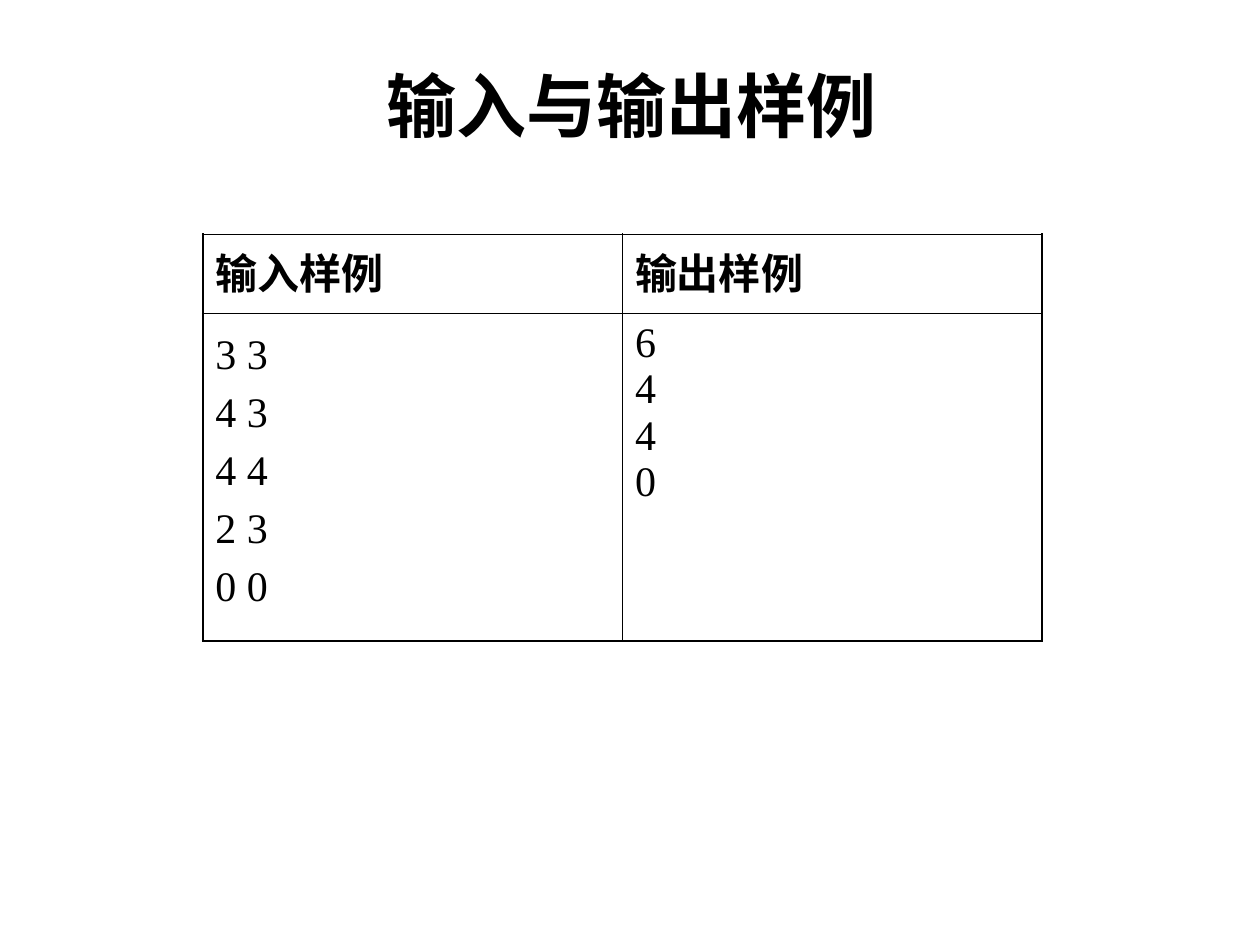
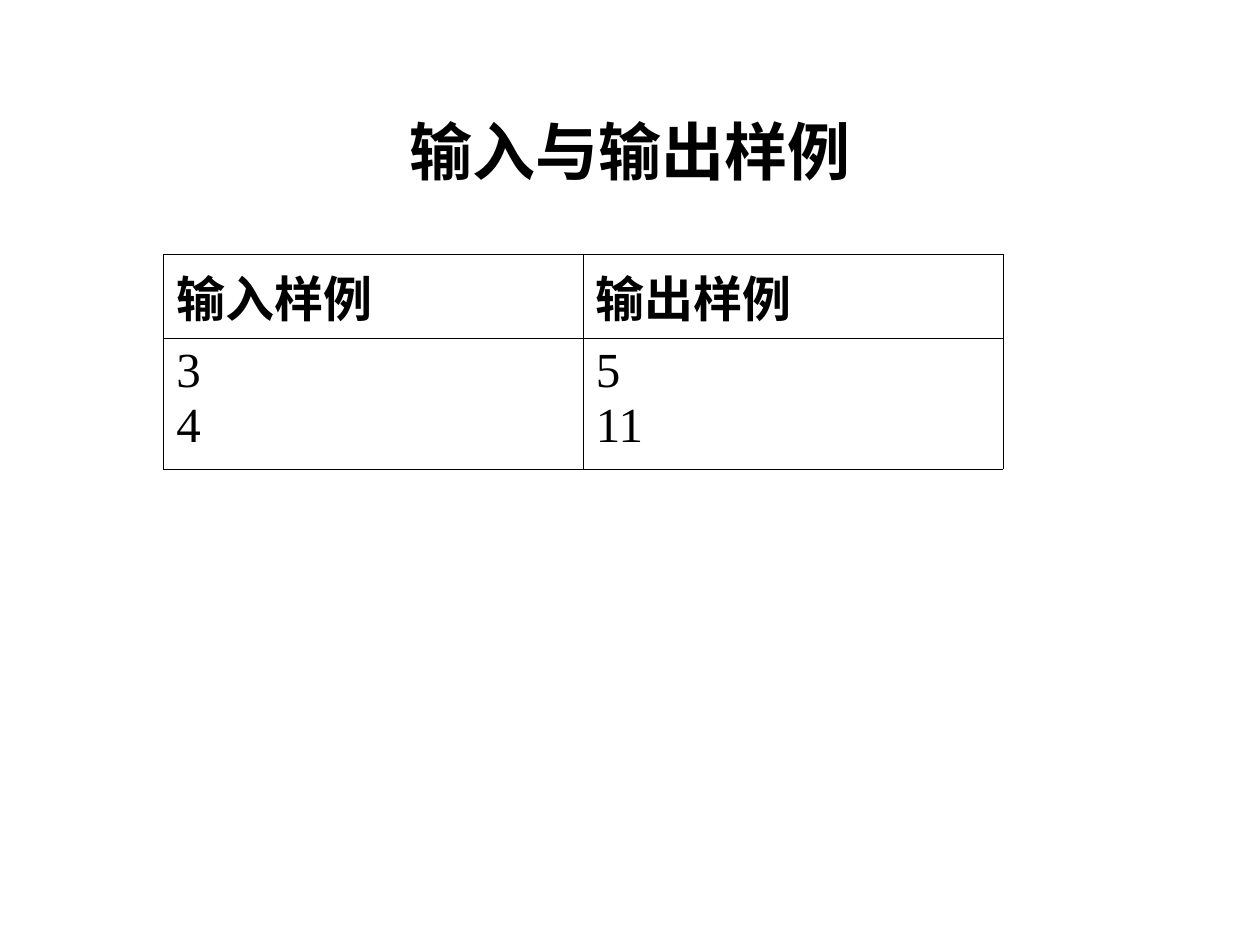
import pptx
import pptx.dml.color
import pptx.enum.text
import pptx.oxml.ns
import pptx.util
from lxml import etree
from pptx.util import Inches

COLOURS = {"ink": "000000", "paper": "FFFFFF"}
FONT = "Times New Roman"
TITLE = "输入与输出样例"
HEADINGS = ("输入样例", "输出样例")
COLUMN_WIDTH = 3.33
THIN = 0.45


def style_paragraph(para, size, bold=False):
    """Give a paragraph the shared typeface and ink colour."""
    para.font.name = FONT
    para.font.size = pptx.util.Pt(size)
    para.font.bold = bold
    para.font.color.rgb = pptx.dml.color.RGBColor.from_string(COLOURS["ink"])


def add_page(deck, place, size, space_before=0):
    """Add a title-only page with its centred heading."""
    page = deck.slides.add_slide(deck.slide_layouts[5])
    page.background.fill.solid()
    page.background.fill.fore_color.rgb = pptx.dml.color.RGBColor.from_string(COLOURS["paper"])
    box = page.shapes.title
    box.left, box.top, box.width, box.height = map(Inches, place)
    frame = box.text_frame
    frame.text = TITLE
    frame.word_wrap = True
    frame.auto_size = pptx.enum.text.MSO_AUTO_SIZE.NONE
    frame.vertical_anchor = pptx.enum.text.MSO_ANCHOR.TOP
    para = frame.paragraphs[0]
    para.alignment = pptx.enum.text.PP_ALIGN.CENTER
    para.line_spacing = 0.9
    para.space_before = pptx.util.Pt(space_before)
    style_paragraph(para, size, bold=True)
    return page


def set_borders(cell, widths):
    """Draw the left, right, top and bottom edges of a cell."""
    properties = cell._tc.get_or_add_tcPr()
    for index, (side, width) in enumerate(zip("LRTB", widths)):
        line = etree.Element(pptx.oxml.ns.qn(f"a:ln{side}"), w=str(pptx.util.Pt(width)))
        fill = etree.SubElement(line, pptx.oxml.ns.qn("a:solidFill"))
        etree.SubElement(fill, pptx.oxml.ns.qn("a:srgbClr"), val=COLOURS["ink"])
        properties.insert(index, line)


def fill_cell(cell, lines, size, bold, spacing):
    """Write one paragraph per line into an unfilled cell."""
    cell.fill.background()
    cell.margin_left = cell.margin_right = Inches(0.1)
    cell.margin_top = cell.margin_bottom = Inches(0.05)
    cell.text_frame.text = "\n".join(lines)
    for para in cell.text_frame.paragraphs:
        style_paragraph(para, size, bold)
        if spacing != 1:
            para.line_spacing = spacing


def add_samples(page, left, top, heights, samples, size, frame_width=THIN, spacings=(1, 1)):
    """Add a table with sample input beside sample output."""
    table = page.shapes.add_table(
        2, 2, Inches(left), Inches(top), Inches(2 * COLUMN_WIDTH), Inches(sum(heights))
    ).table
    table.first_row = table.horz_banding = False
    for row, height in zip(table.rows, heights):
        row.height = Inches(height)
    for column, (heading, lines) in enumerate(zip(HEADINGS, samples)):
        table.columns[column].width = Inches(COLUMN_WIDTH)
        fill_cell(table.cell(0, column), [heading], size, True, 1)
        fill_cell(table.cell(1, column), lines, size, False, spacings[column])
        for row in range(2):
            outer = (column == 0, column == 1, row == 0, row == 1)
            widths = [frame_width if edge else THIN for edge in outer]
            set_borders(table.cell(row, column), widths)


def main():
    """Build and save the deck."""
    deck = pptx.Presentation()
    deck.slide_width, deck.slide_height = Inches(10), Inches(7.5)

    page = add_page(deck, (0.51, 0.52, 9, 1.25), 40)
    samples = (["3 3", "4 3", "4 4", "2 3", "0 0"], ["6", "4", "4", "0"])
    add_samples(page, 1.61, 1.86, (0.63, 2.6), samples, 24, 1.08, (1.25, 1))

    page = add_page(deck, (0.5, 0.91, 9, 0.64), 36, space_before=22.5)
    add_samples(page, 1.3, 2.02, (0.66, 1.04), (["3", "4"], ["5", "11"]), 28)

    deck.save("out.pptx")


main()
